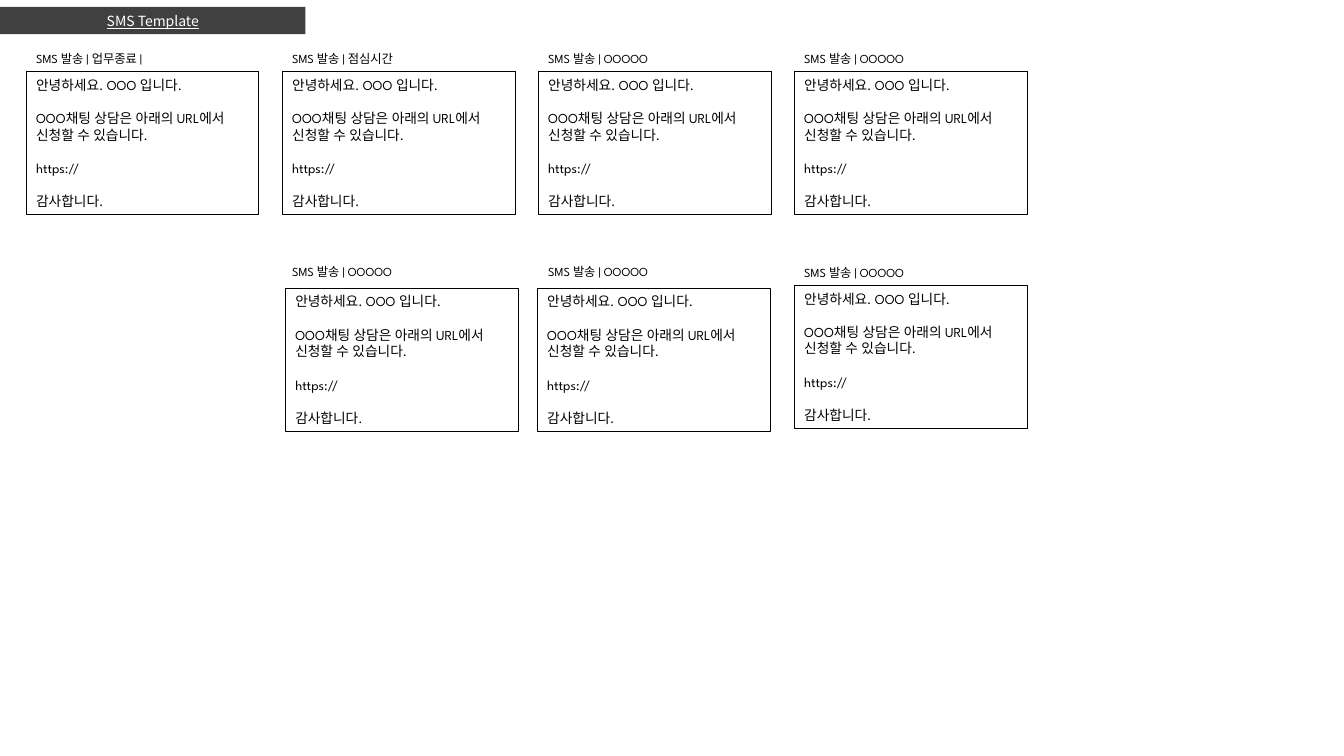
from pptx import Presentation
from pptx.dml.color import RGBColor
from pptx.enum.shapes import MSO_SHAPE
from pptx.enum.text import MSO_ANCHOR, PP_ALIGN
from pptx.oxml import parse_xml
from pptx.oxml.ns import nsdecls
from pptx.util import Pt

BLACK = RGBColor(0x00, 0x00, 0x00)
WHITE = RGBColor(0xFF, 0xFF, 0xFF)
CHARCOAL = RGBColor(0x40, 0x40, 0x40)

TITLE_FONT = "Noto Sans CJK KR"
BODY_FONT = "League Spartan"

COLUMN_LEFT, COLUMN_PITCH = 18.72, 182.88
CARD_WIDTH, CARD_HEIGHT, LABEL_HEIGHT = 166.3, 102.2, 18
PARAGRAPH_GAP = 12.1

MESSAGE = [
    "안녕하세요. OOO 입니다.",
    "OOO채팅 상담은 아래의 URL에서 신청할 수 있습니다.",
    "https://",
    "감사합니다.",
]

# Column, label text, label top, message top, shift of the message box
CARDS = [
    (0, "SMS 발송 | 업무종료 |", 33.1, 51.1, 0),
    (1, "SMS 발송 | 점심시간", 33.1, 51.1, 0),
    (2, "SMS 발송 | OOOOO", 33.1, 51.1, 0),
    (3, "SMS 발송 | OOOOO", 33.1, 51.1, 0),
    (1, "SMS 발송 | OOOOO", 185, 205.9, 2.2),
    (2, "SMS 발송 | OOOOO", 185, 205.9, -0.7),
    (3, "SMS 발송 | OOOOO", 185.8, 203.8, 0),
]


def add_span(para, text, size, font, color):
    span = para.add_run()
    span.text = text
    span.font.size = Pt(size)
    span.font.name = font
    span.font.color.rgb = color
    # East Asian typeface for the Korean letters
    span.font._element.append(
        parse_xml(f'<a:ea {nsdecls("a")} typeface="{font}"/>'))
    return span


def add_title(page, left, top, width, height):
    title = page.shapes.title
    title.left, title.top = Pt(left), Pt(top)
    title.width, title.height = Pt(width), Pt(height)
    title.fill.solid()
    title.fill.fore_color.rgb = CHARCOAL
    frame = title.text_frame
    frame.vertical_anchor = MSO_ANCHOR.MIDDLE
    para = frame.paragraphs[0]
    para.alignment = PP_ALIGN.CENTER
    para.line_spacing = 1.0
    para.space_before = Pt(0)
    span = add_span(para, "SMS Template", 10, TITLE_FONT, WHITE)
    span.font.underline = True


def add_label(page, text, left, top):
    box = page.shapes.add_textbox(
        Pt(left), Pt(top), Pt(CARD_WIDTH), Pt(LABEL_HEIGHT))
    box.text_frame.word_wrap = True
    add_span(box.text_frame.paragraphs[0], text, 8.8, BODY_FONT, BLACK)


def add_message(page, left, top):
    box = page.shapes.add_shape(
        MSO_SHAPE.RECTANGLE,
        Pt(left), Pt(top), Pt(CARD_WIDTH), Pt(CARD_HEIGHT))
    box.shadow.inherit = False
    box.fill.background()
    box.line.color.rgb = BLACK
    box.line.width = Pt(0.75)
    frame = box.text_frame
    frame.word_wrap = True
    frame.vertical_anchor = MSO_ANCHOR.TOP
    for index, text in enumerate(MESSAGE):
        para = frame.paragraphs[0] if index == 0 else frame.add_paragraph()
        para.alignment = PP_ALIGN.LEFT
        if index:
            para.space_before = Pt(PARAGRAPH_GAP)
        add_span(para, text, 9.8, BODY_FONT, BLACK)


def main():
    deck = Presentation()
    deck.slide_width, deck.slide_height = Pt(960), Pt(540)
    page = deck.slides.add_slide(deck.slide_layouts[5])

    # Title bar
    add_title(page, 0, 5, 218.2, 19.4)

    # Message templates
    for column, label, label_top, message_top, shift in CARDS:
        left = COLUMN_LEFT + column * COLUMN_PITCH
        add_label(page, label, left, label_top)
        add_message(page, left + shift, message_top)

    deck.save("out.pptx")


if __name__ == "__main__":
    main()
